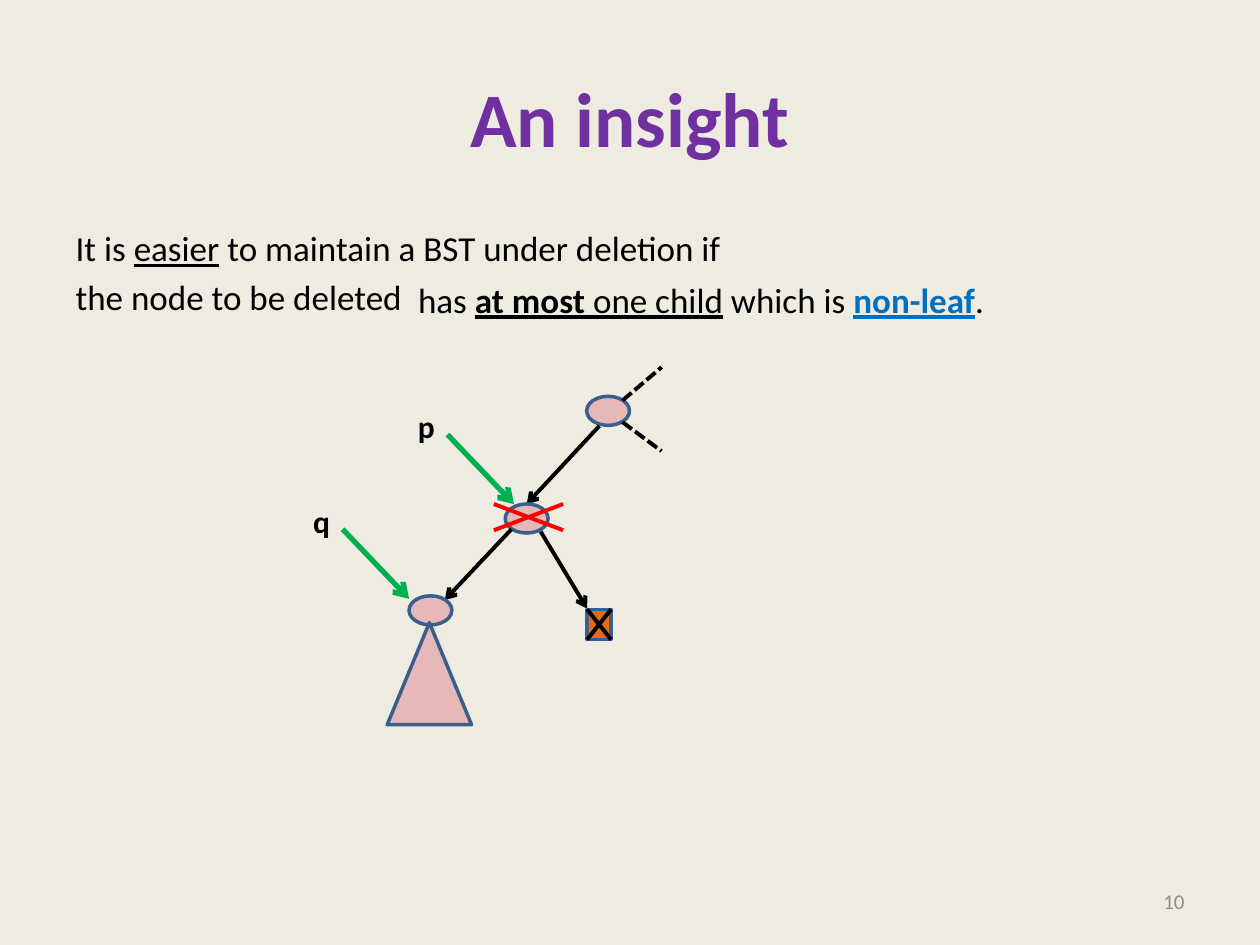
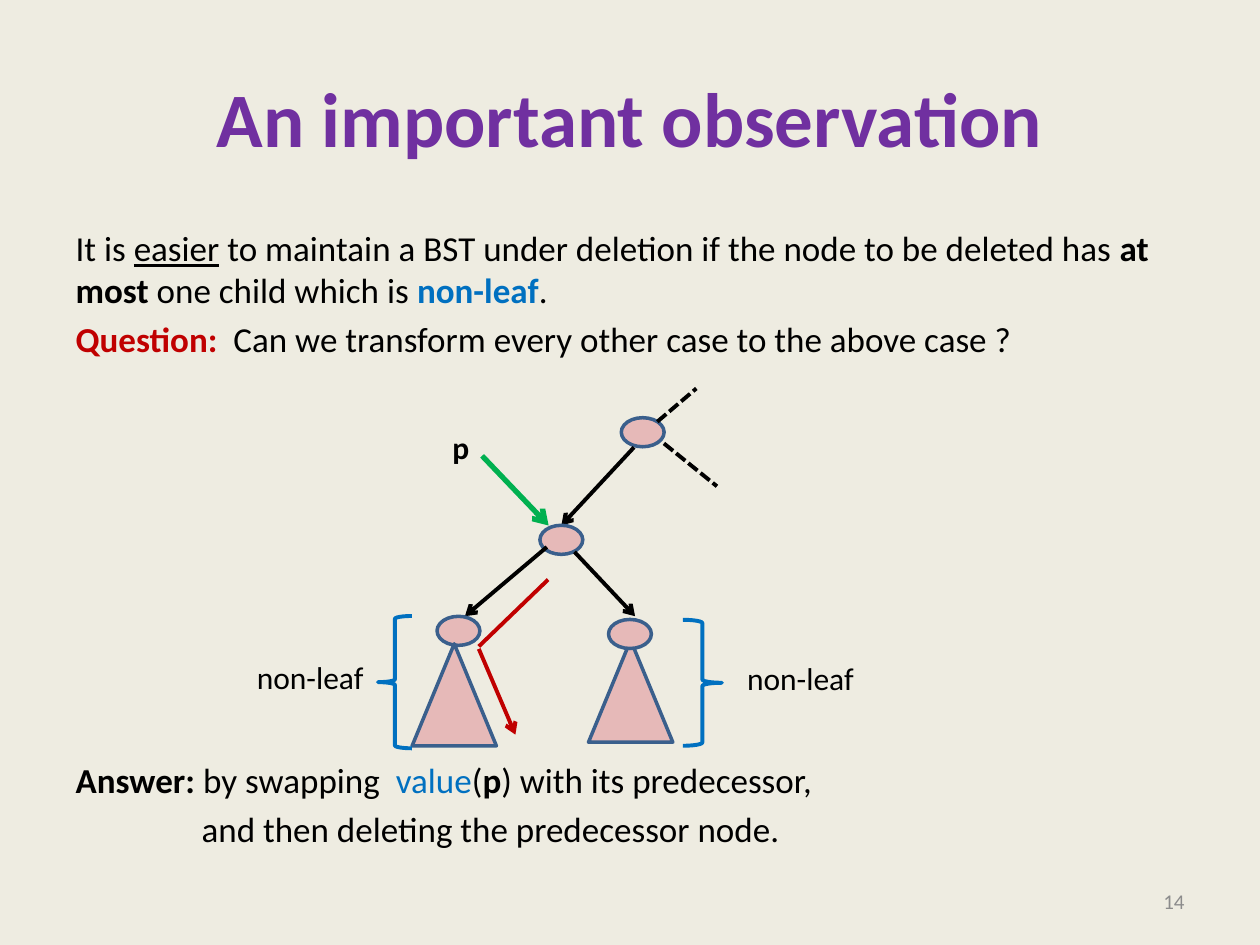
from dataclasses import dataclass
from typing import NamedTuple

from lxml.etree import SubElement
from pptx import Presentation
from pptx.dml.color import RGBColor
from pptx.enum.dml import MSO_LINE
from pptx.enum.shapes import MSO_CONNECTOR, MSO_SHAPE
from pptx.enum.text import MSO_ANCHOR, PP_ALIGN
from pptx.oxml.ns import qn
from pptx.shapes.autoshape import Shape
from pptx.shapes.connector import Connector
from pptx.slide import Slide
from pptx.util import Pt


@dataclass(frozen=True)
class Theme:
    font: str = "Calibri"
    background: RGBColor = RGBColor(0xEE, 0xEC, 0xE1)
    title: RGBColor = RGBColor(0x70, 0x30, 0xA0)
    text: RGBColor = RGBColor(0, 0, 0)
    page_number: RGBColor = RGBColor(0x8C, 0x8C, 0x8C)
    node: RGBColor = RGBColor(0xE6, 0xB9, 0xB8)
    leaf: RGBColor = RGBColor(0xE4, 0x6C, 0x0A)
    outline: RGBColor = RGBColor(0x3A, 0x5F, 0x8C)
    blue: RGBColor = RGBColor(0, 0x70, 0xC0)
    green: RGBColor = RGBColor(0, 0xB0, 0x50)
    red: RGBColor = RGBColor(0xFF, 0, 0)
    dark_red: RGBColor = RGBColor(0xC0, 0, 0)
    title_size: int = 44
    body_size: int = 20
    label_size: int = 18
    page_number_size: int = 12


THEME = Theme()


class Point(NamedTuple):
    x: float
    y: float

    def moved(self, dx: float, dy: float) -> "Point":
        return Point(self.x + dx, self.y + dy)


class Box(NamedTuple):
    left: float
    top: float
    width: float
    height: float


class Stroke(NamedTuple):
    color: RGBColor
    width: float = 2.25
    arrow: bool = False
    dashed: bool = False


class Span(NamedTuple):
    text: str
    bold: bool = False
    underline: bool = False
    color: RGBColor = THEME.text


class Line(NamedTuple):
    spans: list[Span]
    space_before: float = 4
    indent: float = 0


OUTLINE = Stroke(THEME.outline, 2)
EDGE = Stroke(THEME.text, arrow=True)
PLAIN = Stroke(THEME.text)
DASHED = Stroke(THEME.text, dashed=True)
POINTER = Stroke(THEME.green, 3, arrow=True)
DELETION = Stroke(THEME.red)
BRACE = Stroke(THEME.blue)
PATH = Stroke(THEME.dark_red)

NODE_WIDTH, NODE_HEIGHT = 24.5, 16.6
TREE_WIDTH, TREE_HEIGHT = 48.2, 58.3
LABEL_HEIGHT = 29


def write(paragraph, text: str, *, size: float = THEME.body_size,
          color: RGBColor = THEME.text, bold: bool = False,
          underline: bool = False) -> None:
    run = paragraph.add_run()
    run.text = text
    font = run.font
    font.name, font.size, font.bold = THEME.font, Pt(size), bold
    font.underline = underline
    font.color.rgb = color


def write_spans(paragraph, spans: list[Span]) -> None:
    for span in spans:
        write(paragraph, span.text, bold=span.bold,
              underline=span.underline, color=span.color)


def add_text_box(slide: Slide, box: Box) -> Shape:
    shape = slide.shapes.add_textbox(*map(Pt, box))
    shape.text_frame.word_wrap = False
    return shape


def add_label(slide: Slide, text: str, box: Box, bold: bool = False) -> None:
    paragraph = add_text_box(slide, box).text_frame.paragraphs[0]
    write(paragraph, text, size=THEME.label_size, bold=bold)


def add_outlined(slide: Slide, kind: MSO_SHAPE, box: Box,
                 fill: RGBColor | None = THEME.node,
                 stroke: Stroke = OUTLINE) -> Shape:
    shape = slide.shapes.add_shape(kind, *map(Pt, box))
    shape.shadow.inherit = False
    if fill is None:
        shape.fill.background()
    else:
        shape.fill.solid()
        shape.fill.fore_color.rgb = fill
    shape.line.color.rgb = stroke.color
    shape.line.width = Pt(stroke.width)
    return shape


def add_line(slide: Slide, start: Point, end: Point, stroke: Stroke) -> Connector:
    connector = slide.shapes.add_connector(
        MSO_CONNECTOR.STRAIGHT, *map(Pt, (*start, *end)))
    line = connector.line
    line.color.rgb = stroke.color
    line.width = Pt(stroke.width)
    if stroke.dashed:
        line.dash_style = MSO_LINE.SQUARE_DOT
    properties = connector._element.spPr
    if stroke.arrow:
        SubElement(properties.find(qn("a:ln")), qn("a:tailEnd"), type="arrow")
    SubElement(properties, qn("a:effectLst"))
    return connector


def add_node(slide: Slide, center: Point) -> Shape:
    corner = center.moved(-NODE_WIDTH / 2, -NODE_HEIGHT / 2)
    return add_outlined(slide, MSO_SHAPE.OVAL, Box(*corner, NODE_WIDTH, NODE_HEIGHT))


def add_subtree(slide: Slide, apex: Point) -> None:
    add_outlined(slide, MSO_SHAPE.ISOSCELES_TRIANGLE,
                 Box(apex.x - TREE_WIDTH / 2, apex.y, TREE_WIDTH, TREE_HEIGHT))


def add_cross(slide: Slide, box: Box, stroke: Stroke) -> None:
    right, bottom = box.left + box.width, box.top + box.height
    add_line(slide, Point(box.left, bottom), Point(right, box.top), stroke)
    add_line(slide, Point(box.left, box.top), Point(right, bottom), stroke)


def add_pointer(slide: Slide, name: str, start: Point) -> None:
    """Draw a named green arrow, with its name to the left of its start."""
    add_line(slide, start, start.moved(38, 39.8), POINTER)
    add_label(slide, name, Box(*start.moved(-24, -19.2), 24.5, LABEL_HEIGHT), bold=True)


def add_parent_and_child(slide: Slide, child: Point) -> None:
    """Draw the node that p points to, below its parent."""
    parent = child.moved(46.5, -61.5)
    add_node(slide, parent)
    edge = add_line(slide, parent.moved(-5, 8.6), child.moved(0, -8.3), EDGE)
    edge.end_connect(add_node(slide, child), 0)
    add_line(slide, parent.moved(8.3, -6), parent.moved(30.6, -25), DASHED)
    add_pointer(slide, "p", child.moved(-45.3, -48))


def add_slide(presentation: Presentation, title: str, number: int,
              lines: list[Line]) -> Slide:
    slide = presentation.slides.add_slide(presentation.slide_layouts[1])
    heading = slide.shapes.title.text_frame.paragraphs[0]
    heading.alignment = PP_ALIGN.CENTER
    write(heading, title, size=THEME.title_size, color=THEME.title, bold=True)

    body = slide.placeholders[1].text_frame
    for index, line in enumerate(lines):
        paragraph = body.add_paragraph() if index else body.paragraphs[0]
        paragraph.space_before = Pt(line.space_before if index else 0)
        properties = paragraph._p.get_or_add_pPr()
        properties.set("marL", str(Pt(line.indent)))
        properties.set("indent", "0")
        SubElement(properties, qn("a:buNone"))
        write_spans(paragraph, line.spans)

    page = add_text_box(slide, Box(516, 500.5, 168, 28.75)).text_frame
    page.word_wrap = True
    page.vertical_anchor = MSO_ANCHOR.MIDDLE
    page.paragraphs[0].alignment = PP_ALIGN.RIGHT
    write(page.paragraphs[0], str(number), size=THEME.page_number_size,
          color=THEME.page_number)
    return slide


def build_insight(presentation: Presentation) -> None:
    slide = add_slide(presentation, "An insight", 10, [
        Line([Span("It is "), Span("easier", underline=True),
              Span(" to maintain a BST under deletion if")]),
        Line([Span("the node to be deleted")]),
    ])
    condition = add_text_box(slide, Box(231.8, 155.5, 345, 31.5))
    write_spans(condition.text_frame.paragraphs[0], [
        Span("has "), Span("at most ", bold=True, underline=True),
        Span("one child", underline=True), Span(" which is "),
        Span("non-leaf", bold=True, underline=True, color=THEME.blue), Span("."),
    ])

    deleted, child = Point(301, 296.3), Point(246, 348.8)
    add_parent_and_child(slide, deleted)
    add_line(slide, Point(355.7, 241.2), Point(378, 257.8), DASHED)
    add_line(slide, deleted.moved(-8.7, 6.1), child.moved(8.2, -6), EDGE)
    add_line(slide, deleted.moved(8, 7.5), Point(335.5, 347.8), EDGE)

    leaf = Box(335.5, 348.2, 13.7, 17.3)
    add_outlined(slide, MSO_SHAPE.RECTANGLE, leaf, THEME.leaf)
    add_cross(slide, leaf, PLAIN)
    add_node(slide, child)
    add_subtree(slide, child.moved(-0.6, 7))
    add_pointer(slide, "q", Point(195.8, 302.4))
    add_cross(slide, Box(282.2, 288, 39.6, 15), DELETION)


def build_observation(presentation: Presentation) -> None:
    slide = add_slide(presentation, "An important observation", 14, [
        Line([Span("It is "), Span("easier", underline=True),
              Span(" to maintain a BST under deletion if the node to be deleted has "),
              Span("at most ", bold=True), Span("one child which is "),
              Span("non-leaf", bold=True, color=THEME.blue), Span(".")]),
        Line([Span("Question:  ", bold=True, color=THEME.dark_red),
              Span("Can we transform every other case to the above case ?")]),
        Line([Span("Answer: ", bold=True), Span("by swapping  "),
              Span("value", color=THEME.blue), Span("("), Span("p", bold=True),
              Span(") with its predecessor,")], space_before=228),
        Line([Span("and then deleting the predecessor node.")], indent=72),
    ])

    deleted, left, right = Point(320.8, 308.5), Point(262, 360.5), Point(360, 362.3)
    add_parent_and_child(slide, deleted)
    add_line(slide, Point(379.4, 253.4), Point(409.7, 277.9), DASHED)
    add_line(slide, deleted.moved(-8.3, 4.1), left.moved(3.7, -8.4), EDGE)
    add_line(slide, deleted.moved(7.5, 6.9), right.moved(2.9, -10.2), EDGE)
    add_subtree(slide, right.moved(0.4, 3.5))
    add_node(slide, right)
    add_node(slide, left)
    add_subtree(slide, left.moved(-2.4, 7.4))

    for kind, brace, label_left, label_top in (
        (MSO_SHAPE.LEFT_BRACE, Box(216, 352, 19.4, 75.6), 139.7, 372.2),
        (MSO_SHAPE.RIGHT_BRACE, Box(390.2, 354.2, 22.3, 72), 419.8, 373),
    ):
        add_outlined(slide, kind, brace, None, BRACE)
        add_label(slide, "non-leaf", Box(label_left, label_top, 76.3, LABEL_HEIGHT))

    add_line(slide, Point(313.2, 331.2), Point(273.6, 369.4), PATH)
    add_line(slide, Point(273.6, 370.8), Point(294.5, 419.8), PATH._replace(arrow=True))


def main() -> None:
    presentation = Presentation()
    presentation.slide_width, presentation.slide_height = Pt(720), Pt(540)
    background = presentation.slide_master.background.fill
    background.solid()
    background.fore_color.rgb = THEME.background
    build_insight(presentation)
    build_observation(presentation)
    presentation.save("out.pptx")


if __name__ == "__main__":
    main()
